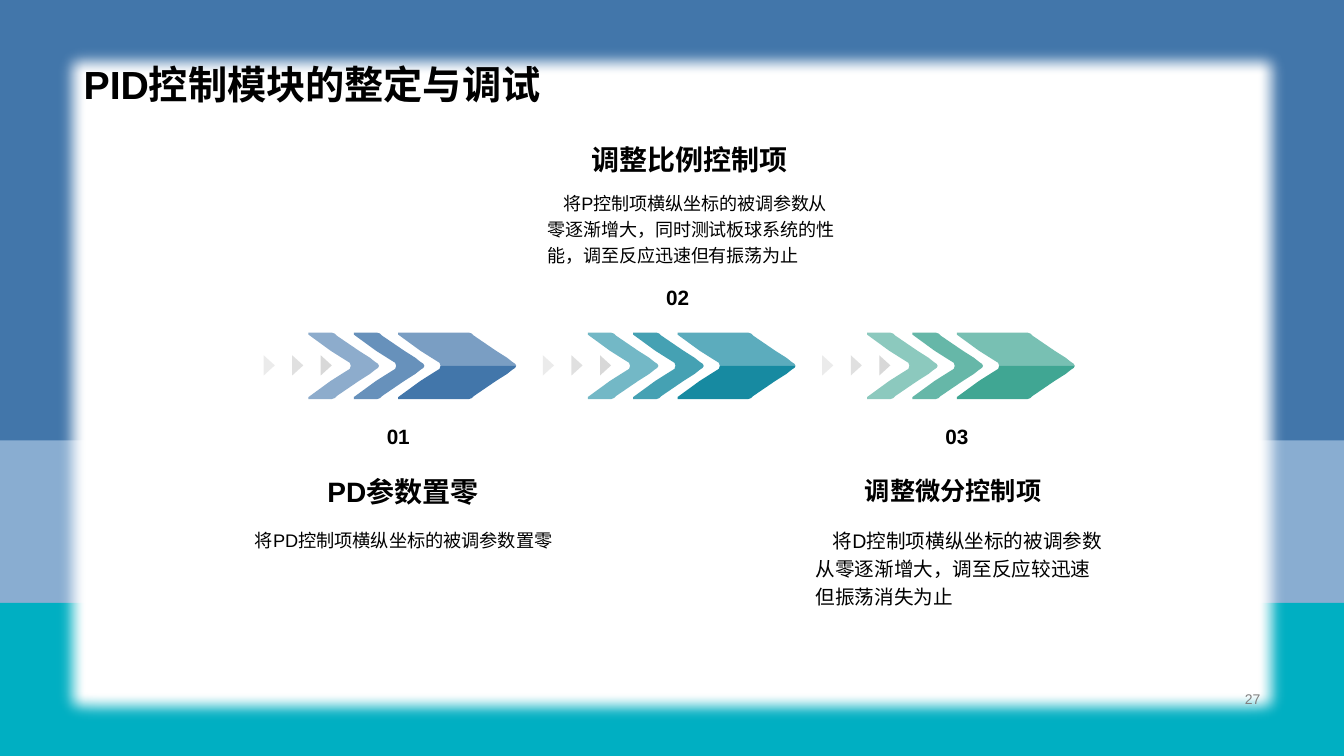
from collections import namedtuple
from dataclasses import dataclass

from lxml import etree
from pptx import Presentation
from pptx import util as u
from pptx.dml.color import RGBColor
from pptx.enum import lang, shapes, text
from pptx.oxml.ns import qn

CELL = u.Inches(0.01)  # the slide is a grid of 1333 columns by 750 rows
COLS, ROWS = 1333, 750

Box = namedtuple("Box", "x y w h")
Stage = namedtuple("Stage", "num color num_y head head_box size body body_box body_size indent")


@dataclass(frozen=True)
class Theme:
    font: str = "Arial"
    ink: str = "000000"
    white: str = "FFFFFF"
    sky: str = "4276AA"
    haze: str = "89ADD1"
    sea: str = "00AFC2"
    teal: str = "178AA1"
    green: str = "40A693"
    pale: str = "D9D9D9"
    gray: str = "BFBFBF"
    dim: str = "808080"
    title: float = 28
    num: float = 14.8
    page: float = 10


T = Theme()
FLOW = Box(305, 363, 277, 33)  # first stage: left, middle line, pitch, half height

# Boxes are offsets from the stage's left edge and the flow's middle line
STAGES = [
    Stage("01", T.sky, 53, "PD参数置零", Box(10, 100, 180, 48), 20,
          "将PD控制项横纵坐标的被调参数置零", Box(-62, 153, 325, 87), 13, 0),
    Stage("02", T.teal, -85, "调整比例控制项", Box(-5, -229, 263, 48), 20,
          "将P控制项横纵坐标的被调参数从零逐渐增大，同时测试板球系统的性能，调至反应迅速但有振荡为止",
          Box(-49, -181, 307, 101), 12.9, 16),
    Stage("03", T.green, 53, "调整微分控制项", Box(-11, 100, 263, 48), 18,
          "将D控制项横纵坐标的被调参数从零逐渐增大，调至反应较迅速但振荡消失为止",
          Box(-60, 152, 307, 101), 14, 17),
]


def place(box):
    return [v * CELL for v in box]


def paint(shape, color, alpha=1):
    shape.shadow.inherit = False
    shape.fill.solid()
    shape.fill.fore_color.rgb = RGBColor.from_string(color)
    shape.line.fill.background()
    if alpha < 1:
        tint = shape._element.spPr.find(".//" + qn("a:srgbClr"))
        etree.SubElement(tint, qn("a:alpha"), val=str(round(alpha * 100000)))
    return shape


def rect(slide, box, color):
    shape = slide.shapes.add_shape(shapes.MSO_SHAPE.RECTANGLE, *place(box))
    return paint(shape, color)


def write(shape, words, size, bold=False, color=T.ink, align=text.PP_ALIGN.LEFT,
          anchor=text.MSO_ANCHOR.MIDDLE, space=1.0, indent=0):
    frame = shape.text_frame
    frame.word_wrap = True
    frame.auto_size = text.MSO_AUTO_SIZE.NONE
    frame.vertical_anchor = anchor
    para = frame.paragraphs[0]
    para.alignment = align
    para.line_spacing = space
    if indent:
        para._p.get_or_add_pPr().set("indent", str(indent * CELL))
    run = para.add_run()
    run.text = words
    font = run.font
    font.name, font.size, font.bold = T.font, u.Pt(size), bold
    font.color.rgb = RGBColor.from_string(color)
    font.language_id = lang.MSO_LANGUAGE_ID.SIMPLIFIED_CHINESE


def label(slide, box, words, size, **look):
    write(slide.shapes.add_textbox(*place(box)), words, size, **look)


def backdrop(slide, box):
    """Three colour bands behind a soft-edged white panel."""
    for y, h, color in [(426, 180, T.haze), (598, 152, T.sea), (0, 437, T.sky)]:
        rect(slide, Box(box.x, box.y + y, box.w, h), color)
    panel = rect(slide, Box(box.x + 52, box.y + 41, 1230, 681), T.white)
    effects = panel._element.spPr.find(qn("a:effectLst"))
    etree.SubElement(effects, qn("a:softEdge"), rad=str(u.Pt(12.5)))


def outline(body):
    """Upper half of an arrow, from notch to tip, lengthened by body."""
    notch = [(43, 0), (42, -3), (34, -8), (23, -15), (1, -31), (1, -33), (3, -33)]
    nose = [(21, -33), (24, -33), (27, -32), (29, -30), (51, -15),
            (62, -8), (67, -4), (70, -2), (71, 0)]
    return notch + [(x + body, y) for x, y in nose]


def flip(points):
    return [(x, -y) for x, y in points]


def draw(slide, x, y, points, color, alpha=1):
    spots = [(x + dx, y + dy) for dx, dy in points]
    pen = slide.shapes.build_freeform(*spots[0], scale=CELL)
    pen.add_line_segments(spots[1:], close=True)
    paint(pen.convert_to_shape(), color, alpha)


def arrow(slide, x, y, color):
    """Two chevrons, three small pointers and a two-tone head."""
    half = outline(0)
    for dx, alpha in [(45, 0.8), (0, 0.6)]:
        draw(slide, x + dx, y, half + flip(half)[::-1], color, alpha)
    for i, (tone, alpha) in enumerate([(T.pale, 0.5), (T.pale, 0.8), (T.gray, 0.6)]):
        spot = Box(x - 48 + i * 28.3, y - 6, 20, 11)
        tip = slide.shapes.add_shape(shapes.MSO_SHAPE.ISOSCELES_TRIANGLE,
                                     *[int(v) for v in place(spot)])
        tip.rotation = 90
        paint(tip, tone, alpha)
    half = outline(47)
    draw(slide, x + 89, y, flip(half), color)
    draw(slide, x + 89, y, half, color, 0.7)


def step(slide, x, y, stage):
    def shift(box):
        return Box(x + box.x, y + box.y, box.w, box.h)

    arrow(slide, x, y, stage.color)
    label(slide, shift(Box(33, stage.num_y, 114, 33)), stage.num, T.num,
          bold=True, align=text.PP_ALIGN.CENTER)
    label(slide, shift(stage.head_box), stage.head, stage.size, bold=True)
    label(slide, shift(stage.body_box), stage.body, stage.body_size,
          anchor=text.MSO_ANCHOR.TOP, space=1.2, indent=stage.indent)


def heading(slide, box, words):
    title = slide.shapes.title
    title.left, title.top, title.width, title.height = place(box)
    write(title, words, T.title, bold=True, anchor=text.MSO_ANCHOR.BOTTOM, space=0.9)
    slide.shapes._spTree.append(title._element)  # bring to the front


def main():
    deck = Presentation()
    deck.slide_width, deck.slide_height = COLS * CELL, ROWS * CELL
    slide = deck.slides.add_slide(deck.slide_layouts[5])
    backdrop(slide, Box(0, 0, COLS, ROWS))
    label(slide, Box(942, 682, 318, 23), "27", T.page,
          color=T.dim, align=text.PP_ALIGN.RIGHT)
    for i, stage in enumerate(STAGES):
        step(slide, FLOW.x + i * FLOW.w, FLOW.y, stage)
    heading(slide, Box(73, 0, 1187, 112), "PID控制模块的整定与调试")
    deck.save("out.pptx")


if __name__ == "__main__":
    main()
